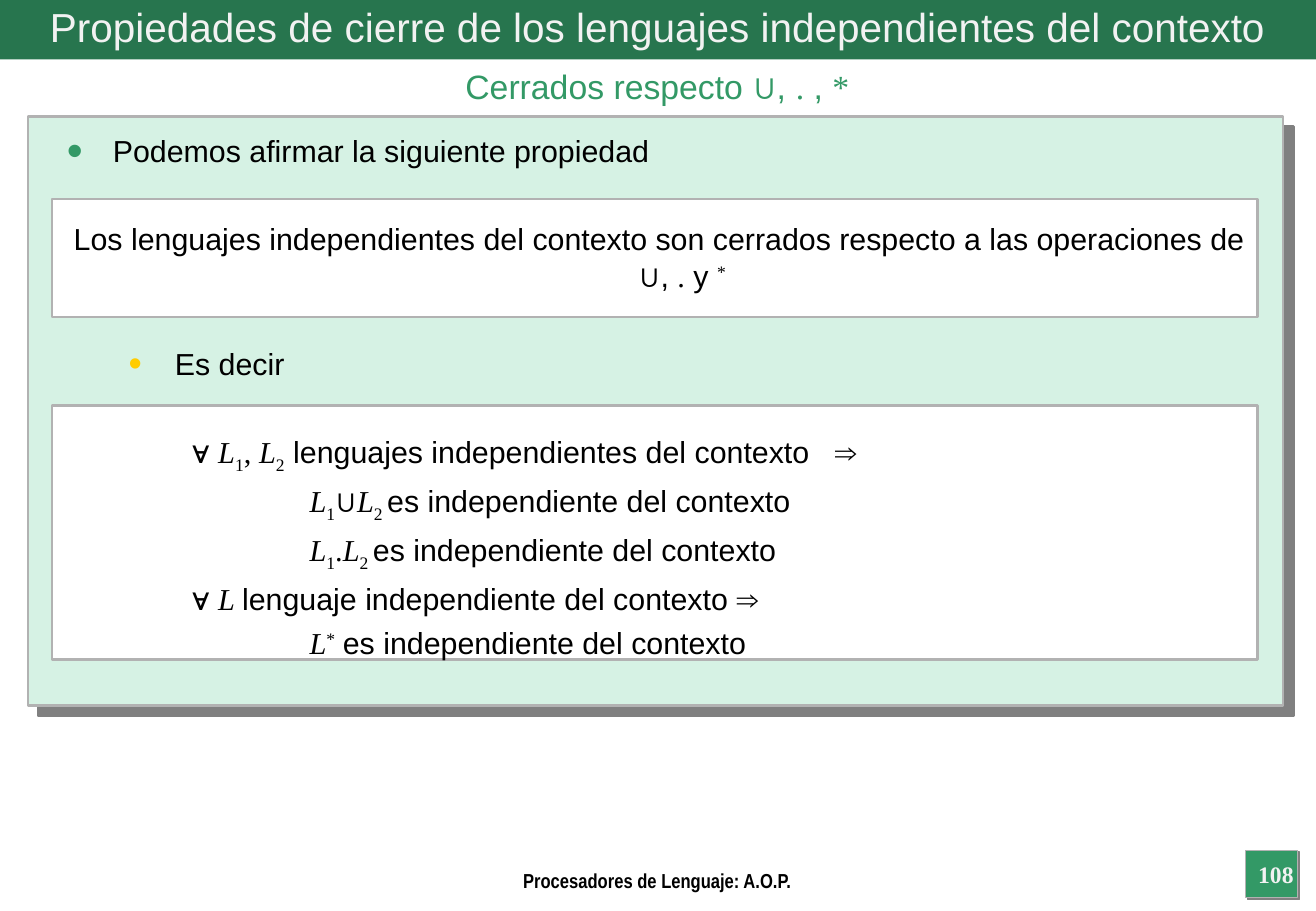
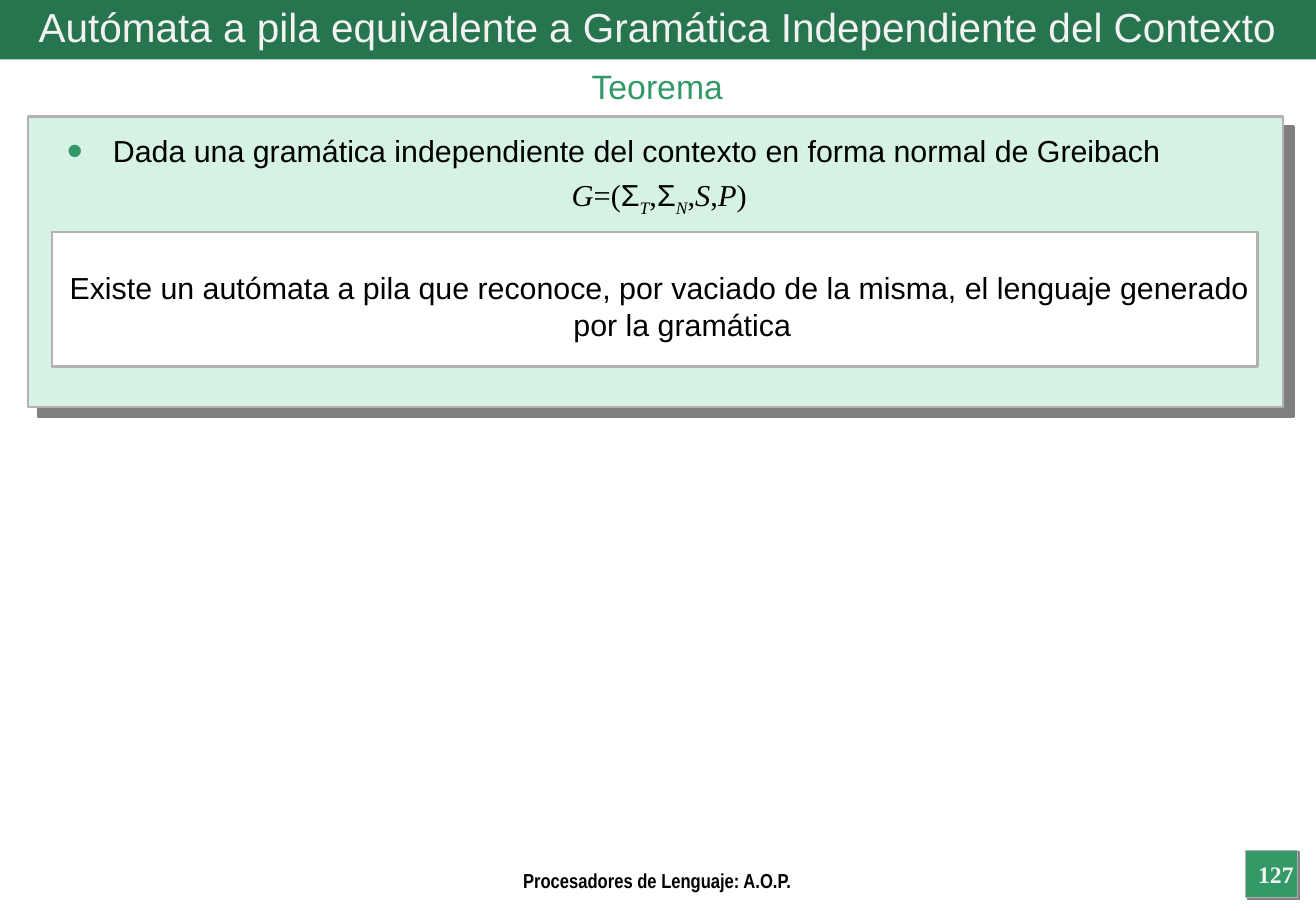
import pptx
import pptx.util
import pptx.dml.color
import pptx.enum.shapes
import pptx.enum.text
import pptx.oxml.ns
from lxml import etree

SCALE = 9144
COLORS = {
    "band": "27754E", "accent": "339966", "panel": "D6F2E4", "white": "FFFFFF",
    "border": "B2B2B2", "shadow": "808080", "light": "F2F2F2", "black": "000000",
    "bullet": "FFCC00",
}
RUN_STYLES = {
    "plain": {}, "wide": {"spc": 1000},
    "times": {"face": "Times New Roman"},
    "math": {"face": "Times New Roman", "italic": True},
    "sub": {"face": "Times New Roman", "baseline": -25000},
    "mathsub": {"face": "Times New Roman", "italic": True, "baseline": -25000},
    "sup": {"face": "Times New Roman", "baseline": 30000},
}
LEVELS = {
    "point": {"left": 38, "bullet": ("accent", 150000)},
    "subpoint": {"left": 89, "bullet": ("bullet", 125000)},
    "centered": {"left": 38, "centered": True},
    "premise": {"left": 141},
    "result": {"left": 238},
}
WIDTH, HEIGHT = 1084, 750
HANGING = 38
TIGHT, LOOSE = 4.5, 30.6
CENTER = pptx.enum.text.PP_ALIGN.CENTER
LEFT = pptx.enum.text.PP_ALIGN.LEFT


def px(length):
    return length * SCALE


def rgb(color):
    return pptx.dml.color.RGBColor.from_string(COLORS[color])


def child(parent, tag, **attributes):
    return etree.SubElement(parent, pptx.oxml.ns.qn(tag), attributes)


class Deck:
    """Holds the shared style and the slide being built."""

    def __init__(self, presentation):
        self.presentation = presentation
        self.slide = None

    def start(self, title, subtitle, number):
        layout = self.presentation.slide_layouts[1]
        self.slide = self.presentation.slides.add_slide(layout)
        self.box(1026, 700, 43, 39, "accent", line=0.75, shadow=1.4)
        self.box(0, 0, WIDTH, 49, "band")
        heading = self.placeholder(self.slide.shapes.title, 0, 0, 1083, 44)
        heading.vertical_anchor = pptx.enum.text.MSO_ANCHOR.MIDDLE
        heading.paragraphs[0].alignment = CENTER
        self.runs(heading.paragraphs[0], [(title, "plain")], 24, "light")
        self.label(0, 49, 1083, 44, subtitle, 20, "accent")
        self.label(301, 710, 481, 18, [("Procesadores de Lenguaje: A.O.P.", "plain")],
                   12, "black", face="Arial Narrow", bold=True)
        self.label(1024, 703, 54, 35, [(number, "times")], 14, "light", bold=True)

    def box(self, left, top, width, height, fill, line=None, shadow=None):
        box = self.slide.shapes.add_shape(
            pptx.enum.shapes.MSO_SHAPE.RECTANGLE, px(left), px(top), px(width), px(height))
        box.shadow.inherit = False
        box.fill.solid()
        box.fill.fore_color.rgb = rgb(fill)
        if line:
            box.line.color.rgb = rgb("border")
            box.line.width = pptx.util.Pt(line)
        else:
            box.line.fill.background()
        if shadow:
            effects = box._element.spPr.find(pptx.oxml.ns.qn("a:effectLst"))
            outer = child(effects, "a:outerShdw", blurRad="0", dir="2700000", algn="ctr",
                          dist=str(pptx.util.Pt(shadow)), rotWithShape="0")
            child(outer, "a:srgbClr", val=COLORS["shadow"])

    def panel(self, height):
        self.box(23, 96, 1034, height, "panel", line=1.5, shadow=8.5)

    def statement(self, top, height):
        self.box(43, top, 993, height, "white", line=1.5)

    def label(self, left, top, width, height, content, size, color, face="Arial", bold=False):
        frame = self.slide.shapes.add_textbox(px(left), px(top), px(width), px(height)).text_frame
        frame.word_wrap = True
        frame.paragraphs[0].alignment = CENTER
        self.runs(frame.paragraphs[0], content, size, color, face, bold)

    def placeholder(self, holder, left, top, width, height):
        holder.left, holder.top = px(left), px(top)
        holder.width, holder.height = px(width), px(height)
        self.slide.shapes._spTree.append(holder._element)
        holder.text_frame.auto_size = pptx.enum.text.MSO_AUTO_SIZE.NONE
        holder.text_frame.word_wrap = True
        return holder.text_frame

    def body(self, height, paragraphs):
        frame = self.placeholder(self.slide.placeholders[1], 45, 104, 996, height)
        for index, (level, space, content) in enumerate(paragraphs):
            paragraph = frame.add_paragraph() if index else frame.paragraphs[0]
            style = LEVELS[level]
            paragraph.alignment = CENTER if style.get("centered") else LEFT
            paragraph.space_before = pptx.util.Pt(space)
            properties = paragraph._p.get_or_add_pPr()
            properties.set("marL", str(px(style["left"])))
            properties.set("indent", str(px(-HANGING)))
            if "bullet" in style:
                color, size = style["bullet"]
                child(child(properties, "a:buClr"), "a:srgbClr", val=COLORS[color])
                child(properties, "a:buSzPct", val=str(size))
                child(properties, "a:buFont", typeface="Arial")
                child(properties, "a:buChar", char="•")
            else:
                child(properties, "a:buNone")
            self.runs(paragraph, content, 18, "black")

    def runs(self, paragraph, content, size, color, face="Arial", bold=False):
        for text, name in content:
            style = RUN_STYLES[name]
            run = paragraph.add_run()
            run.text = text
            run.font.name = style.get("face", face)
            run.font.size = pptx.util.Pt(size)
            run.font.bold = bold
            run.font.italic = style.get("italic", False)
            run.font.color.rgb = rgb(color)
            for attribute in ("baseline", "spc"):
                if attribute in style:
                    run._r.get_or_add_rPr().set(attribute, str(style[attribute]))


def main():
    presentation = pptx.Presentation()
    presentation.slide_width = px(WIDTH)
    presentation.slide_height = px(HEIGHT)
    deck = Deck(presentation)
    conclusion = ("es independiente del contexto", "plain")
    first = [("L", "math"), ("1", "sub")]
    second = [("L", "math"), ("2 ", "sub")]

    deck.start("Propiedades de cierre de los lenguajes independientes del contexto",
               [("Cerrados respecto ∪, ", "plain"), (".", "times"), (" , ", "plain"),
                ("*", "times")], "108")
    deck.panel(485)
    deck.statement(334, 209)
    deck.statement(164, 97)
    deck.body(608, [
        ("point", 0, [("Podemos afirmar la siguiente propiedad", "plain")]),
        ("centered", LOOSE, [
            ("Los lenguajes independientes del contexto son cerrados respecto "
             "a las operaciones de ∪, ", "plain"),
            (".", "times"), (" y ", "plain"), ("*", "sup")]),
        ("subpoint", LOOSE, [("Es decir", "plain")]),
        ("premise", LOOSE, [
            ("∀ ", "plain"), *first, (", ", "times"), ("L", "math"), ("2", "sub"),
            (" lenguajes independientes del contexto", "plain"), (" ", "wide"), ("⇒", "plain")]),
        ("result", TIGHT, [*first, ("∪", "plain"), *second, conclusion]),
        ("result", TIGHT, [*first, (".", "times"), *second, conclusion]),
        ("premise", TIGHT, [("∀ ", "plain"), ("L ", "math"),
                            ("lenguaje independiente del contexto ⇒", "plain")]),
        ("result", TIGHT, [("L", "math"), ("*", "sup"), (" ", "times"), conclusion]),
    ])

    deck.start("Autómata a pila equivalente a Gramática Independiente del Contexto",
               [("Teorema", "plain")], "127")
    deck.panel(239)
    deck.statement(191, 111)
    deck.body(580, [
        ("point", 0, [("Dada una gramática independiente del contexto en forma normal "
                       "de Greibach", "plain")]),
        ("centered", TIGHT, [
            ("G", "math"), ("=(", "times"), ("Σ", "plain"), ("T", "mathsub"), (",", "times"),
            ("Σ", "plain"), ("N", "mathsub"), (",", "times"), ("S", "math"), (",", "times"),
            ("P", "math"), (")", "times")]),
        ("centered", LOOSE, [("Existe un autómata a pila que reconoce, por vaciado de la misma, "
                              "el lenguaje generado por la gramática", "plain")]),
    ])
    presentation.save("out.pptx")


if __name__ == "__main__":
    main()
